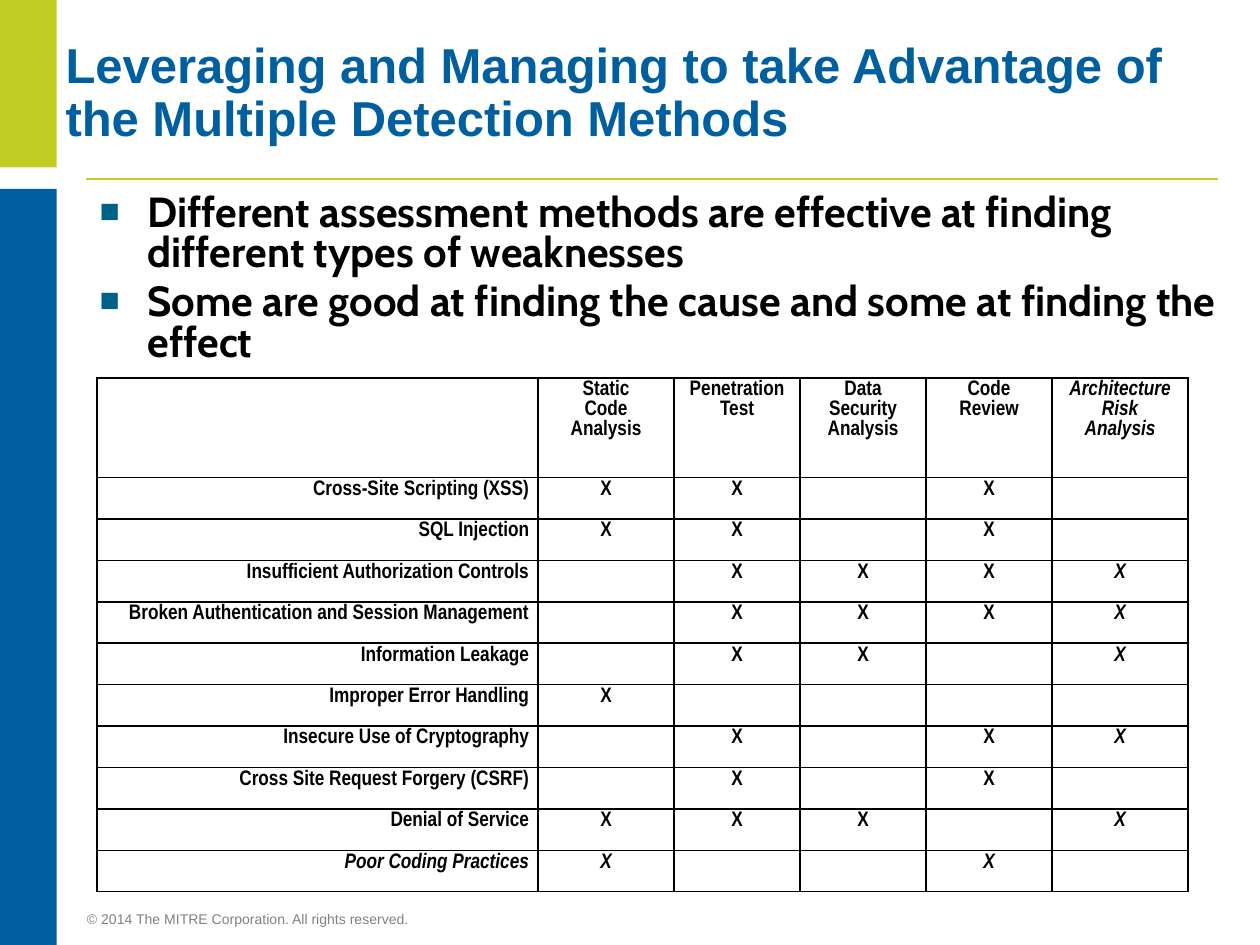
from dataclasses import dataclass

from lxml.etree import SubElement
from pptx import Presentation
from pptx.dml.color import RGBColor
from pptx.enum.shapes import MSO_CONNECTOR, MSO_SHAPE
from pptx.enum.text import MSO_ANCHOR, MSO_AUTO_SIZE, PP_ALIGN
from pptx.oxml.ns import qn
from pptx.util import Emu, Inches, Pt


@dataclass(frozen=True)
class TextStyle:
    font: str
    size: float
    color: str
    bold: bool = True


@dataclass(frozen=True)
class Theme:
    lime: str = "C1CD23"
    blue: str = "005F9E"
    bullet: str = "006188"
    border: str = "000000"
    line_width: float = 1
    title: TextStyle = TextStyle("Arial", 28, "005F9E")
    body: TextStyle = TextStyle("Cabin", 24, "000000")
    table: TextStyle = TextStyle("Arial Narrow", 12, "000000")
    footer: TextStyle = TextStyle("Arial", 8, "808080", False)


@dataclass(frozen=True)
class Box:
    column: float
    row: float
    columns: float
    rows: float

    def lengths(self) -> tuple[Emu, ...]:
        return tuple(map(grid, (self.column, self.row, self.columns, self.rows)))


@dataclass(frozen=True)
class Weakness:
    name: str
    marks: str
    italic: bool = False


THEME = Theme()
GRID_STEP = Inches(0.1)
SLIDE_COLUMNS, SLIDE_ROWS = 100, 75
TITLE_BOX = Box(4.2, 0, 95.8, 15)
BODY_BOX = Box(6.9, 15, 93.3, 50.8)
FOOTER_BOX = Box(6.9, 72.3, 63.1, 1.3)
SIDEBARS = ((Box(0, 0, 4.5, 13.3), THEME.lime), (Box(0, 15, 4.5, 60), THEME.blue))
RULE = Box(6.8, 14.2, 89.9, 0)
TABLE_LEFT, TABLE_TOP = 7.7, 30
COLUMN_WIDTHS = (35, 10.8, 10, 10, 10, 10.8)
HEADER_HEIGHT, ROW_HEIGHT = 7.9, 3.29

TITLE = "Leveraging and Managing to take Advantage of the Multiple Detection Methods"
POINTS = (
    "Different assessment methods are effective at finding different types of weaknesses",
    "Some are good at finding the cause and some at finding the effect",
)
FOOTER = "© 2014 The MITRE Corporation. All rights reserved."
METHODS = (
    "Static Code Analysis",
    "Penetration Test",
    "Data Security Analysis",
    "Code Review",
    "Architecture Risk Analysis",
)
WEAKNESSES = (
    Weakness("Cross-Site Scripting (XSS)", "XX-X-"),
    Weakness("SQL Injection", "XX-X-"),
    Weakness("Insufficient Authorization Controls", "-XXXX"),
    Weakness("Broken Authentication and Session Management", "-XXXX"),
    Weakness("Information Leakage", "-XX-X"),
    Weakness("Improper Error Handling", "X----"),
    Weakness("Insecure Use of Cryptography", "-X-XX"),
    Weakness("Cross Site Request Forgery (CSRF)", "-X-X-"),
    Weakness("Denial of Service", "XXX-X"),
    Weakness("Poor Coding Practices", "X--X-", True),
)


def grid(cells: float) -> Emu:
    return Emu(round(cells * GRID_STEP))


def place(shape, box: Box) -> None:
    shape.left, shape.top, shape.width, shape.height = box.lengths()


def add_run(paragraph, text: str, style: TextStyle, italic: bool = False) -> None:
    run = paragraph.add_run()
    run.text = text
    run.font.name = style.font
    run.font.size = Pt(style.size)
    run.font.bold = style.bold
    run.font.italic = italic
    run.font.color.rgb = RGBColor.from_string(style.color)


def next_paragraph(text_frame, index: int):
    return text_frame.add_paragraph() if index else text_frame.paragraphs[0]


def add_sidebar(slide, box: Box, color: str) -> None:
    shape = slide.shapes.add_shape(MSO_SHAPE.RECTANGLE, *box.lengths())
    shape.shadow.inherit = False
    shape.fill.solid()
    shape.fill.fore_color.rgb = RGBColor.from_string(color)
    shape.line.fill.background()


def add_rule(slide) -> None:
    left, top, width, height = RULE.lengths()
    rule = slide.shapes.add_connector(
        MSO_CONNECTOR.STRAIGHT, left, top, left + width, top + height
    )
    rule.line.color.rgb = RGBColor.from_string(THEME.lime)
    rule.line.width = Pt(THEME.line_width)
    SubElement(rule._element.spPr, qn("a:effectLst"))


def add_footer(slide) -> None:
    text_frame = slide.shapes.add_textbox(*FOOTER_BOX.lengths()).text_frame
    text_frame.word_wrap = True
    text_frame.margin_left = text_frame.margin_right = 0
    text_frame.margin_top = text_frame.margin_bottom = 0
    add_run(text_frame.paragraphs[0], FOOTER, THEME.footer)


def fill_title(title) -> None:
    place(title, TITLE_BOX)
    text_frame = title.text_frame
    text_frame.auto_size = MSO_AUTO_SIZE.NONE
    text_frame.vertical_anchor = MSO_ANCHOR.MIDDLE
    paragraph = text_frame.paragraphs[0]
    paragraph.alignment = PP_ALIGN.LEFT
    paragraph.line_spacing = 0.9
    add_run(paragraph, TITLE, THEME.title)


def add_bullet(paragraph) -> None:
    properties = paragraph._p.get_or_add_pPr()
    properties.set("marL", str(Inches(0.38)))
    properties.set("indent", str(-Inches(0.38)))
    color = SubElement(properties, qn("a:buClr"))
    SubElement(color, qn("a:srgbClr"), val=THEME.bullet)
    SubElement(properties, qn("a:buSzPct"), val="80000")
    SubElement(properties, qn("a:buFont"), typeface="Arial")
    SubElement(properties, qn("a:buChar"), char="■")


def fill_body(body) -> None:
    place(body, BODY_BOX)
    text_frame = body.text_frame
    text_frame.auto_size = MSO_AUTO_SIZE.NONE
    for index, point in enumerate(POINTS):
        paragraph = next_paragraph(text_frame, index)
        add_bullet(paragraph)
        paragraph.line_spacing = 0.8
        paragraph.space_before = Pt(5 if index else 0)
        add_run(paragraph, point, THEME.body)


def fill_cell(cell, lines: list[str], alignment: PP_ALIGN, italic: bool) -> None:
    cell.margin_left = cell.margin_right = Inches(0.07)
    cell.margin_top = Inches(0.02)
    cell.margin_bottom = 0
    properties = cell._tc.get_or_add_tcPr()
    for side in ("a:lnL", "a:lnR", "a:lnT", "a:lnB"):
        border = SubElement(properties, qn(side), w=str(Pt(THEME.line_width)))
        fill = SubElement(border, qn("a:solidFill"))
        SubElement(fill, qn("a:srgbClr"), val=THEME.border)
    cell.fill.background()
    for index, line in enumerate(lines):
        paragraph = next_paragraph(cell.text_frame, index)
        paragraph.alignment = alignment
        add_run(paragraph, line, THEME.table, italic)


def add_matrix(slide) -> None:
    heights = (HEADER_HEIGHT, *[ROW_HEIGHT] * len(WEAKNESSES))
    box = Box(TABLE_LEFT, TABLE_TOP, sum(COLUMN_WIDTHS), sum(heights))
    table = slide.shapes.add_table(
        len(heights), len(COLUMN_WIDTHS), *box.lengths()
    ).table
    table.first_row = table.horz_banding = False
    for column, width in zip(table.columns, COLUMN_WIDTHS):
        column.width = grid(width)
    for row, height in zip(table.rows, heights):
        row.height = grid(height)
    last = len(METHODS)
    fill_cell(table.cell(0, 0), [], PP_ALIGN.LEFT, False)
    for column, method in enumerate(METHODS, 1):
        fill_cell(table.cell(0, column), method.split(), PP_ALIGN.CENTER, column == last)
    for row, weakness in enumerate(WEAKNESSES, 1):
        fill_cell(table.cell(row, 0), [weakness.name], PP_ALIGN.RIGHT, weakness.italic)
        for column, mark in enumerate(weakness.marks, 1):
            lines = [mark] if mark == "X" else []
            italic = weakness.italic or column == last
            fill_cell(table.cell(row, column), lines, PP_ALIGN.CENTER, italic)


def main() -> None:
    presentation = Presentation()
    presentation.slide_width = grid(SLIDE_COLUMNS)
    presentation.slide_height = grid(SLIDE_ROWS)
    slide = presentation.slides.add_slide(presentation.slide_layouts[1])
    add_rule(slide)
    for box, color in SIDEBARS:
        add_sidebar(slide, box, color)
    add_footer(slide)
    fill_title(slide.shapes.title)
    fill_body(slide.placeholders[1])
    add_matrix(slide)
    presentation.save("out.pptx")


if __name__ == "__main__":
    main()
